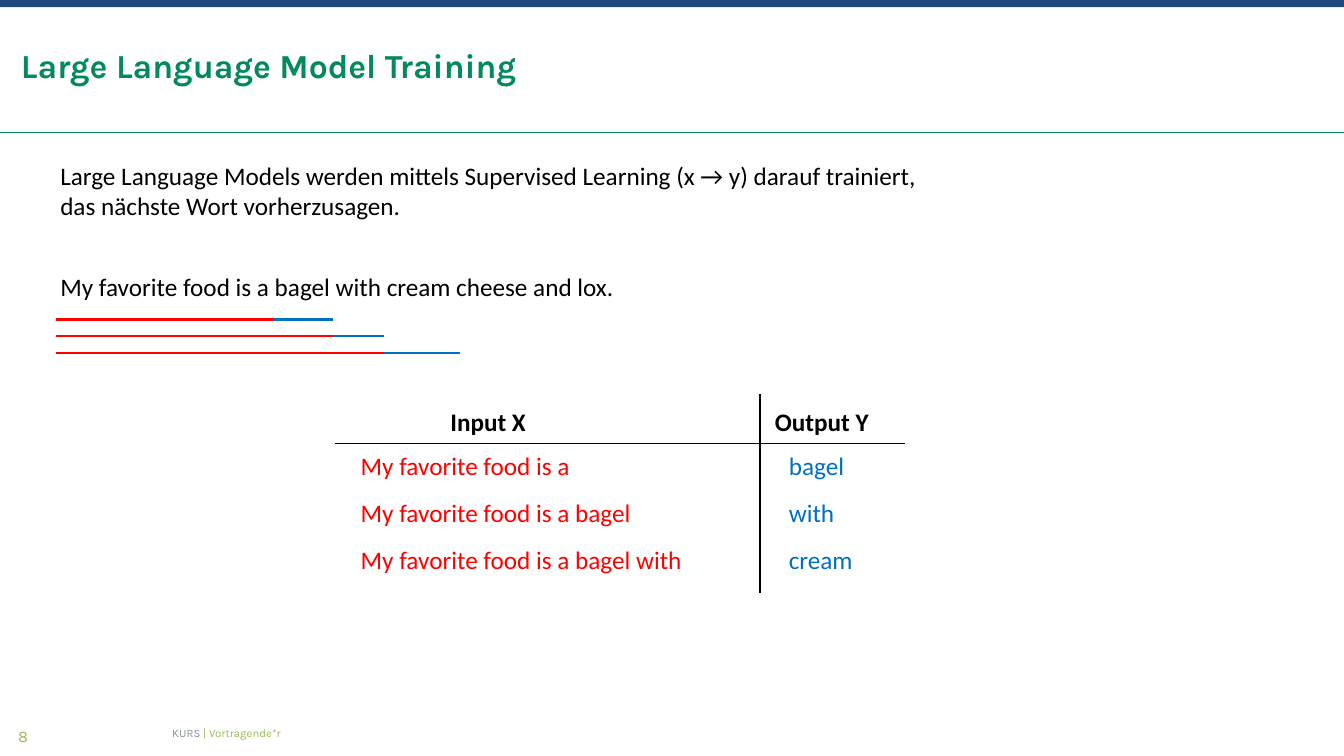
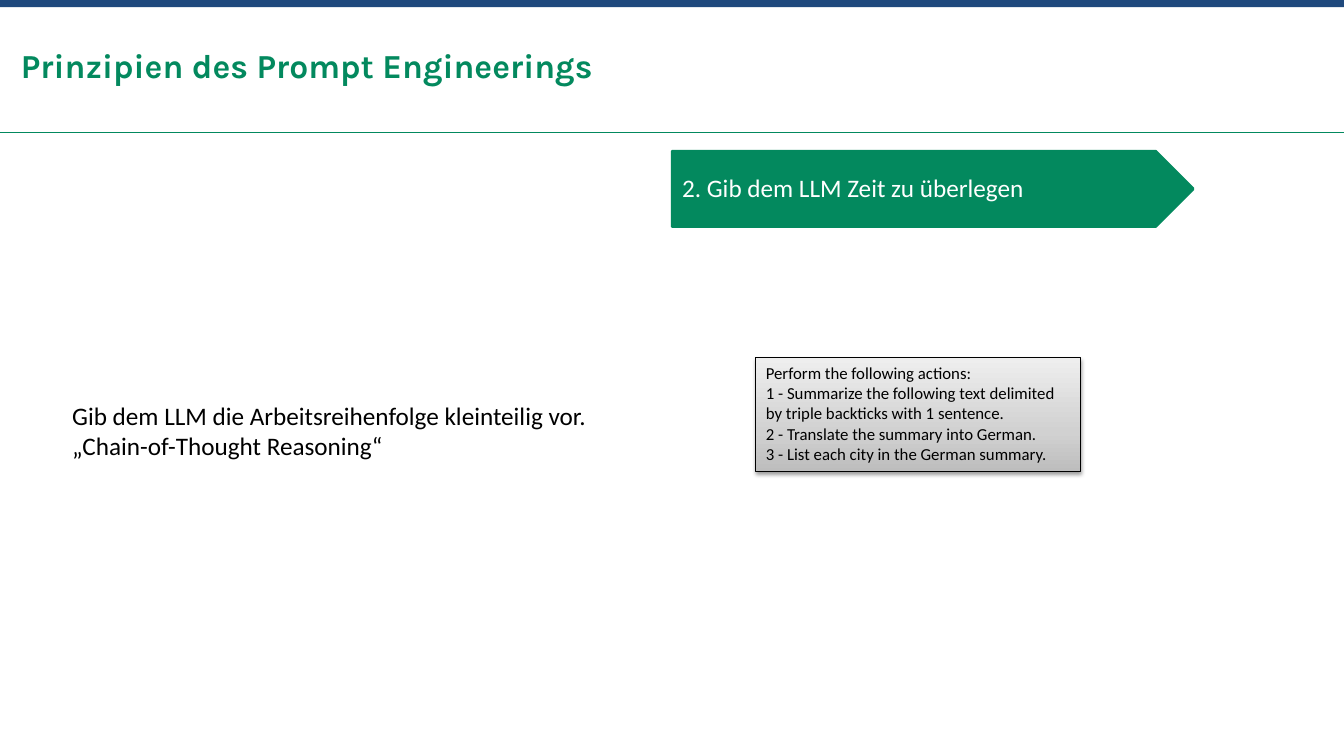
"""Build two slides on language model training and prompt engineering."""

from dataclasses import dataclass

from lxml import etree
from pptx import Presentation
from pptx.dml.color import RGBColor
from pptx.enum.shapes import MSO_CONNECTOR, MSO_SHAPE
from pptx.enum.text import MSO_ANCHOR, PP_ALIGN
from pptx.oxml.ns import qn
from pptx.presentation import Presentation as Deck
from pptx.shapes.autoshape import Shape
from pptx.slide import Slide
from pptx.util import Cm, Pt

GREEN = RGBColor(0x03, 0x89, 0x5E)
NAVY = RGBColor(0x1F, 0x49, 0x7D)
LIME = RGBColor(0x9B, 0xBB, 0x59)
GREY = RGBColor(0x88, 0x91, 0x94)
RED = RGBColor(0xFF, 0x00, 0x00)
BLUE = RGBColor(0x00, 0x70, 0xC0)
BLACK = RGBColor(0x00, 0x00, 0x00)
WHITE = RGBColor(0xFF, 0xFF, 0xFF)
CARD_STOPS = (
    (0, RGBColor(0xBD, 0xBD, 0xBD)),
    (35, RGBColor(0xD1, 0xD1, 0xD1)),
    (100, RGBColor(0xEE, 0xEE, 0xEE)),
)

TOP = MSO_ANCHOR.TOP
MIDDLE = MSO_ANCHOR.MIDDLE
BOTTOM = MSO_ANCHOR.BOTTOM
LEFT = PP_ALIGN.LEFT
STRAIGHT = MSO_CONNECTOR.STRAIGHT
RECTANGLE = MSO_SHAPE.RECTANGLE
PENTAGON = MSO_SHAPE.PENTAGON

HEADING_FONT = "Karla"
BODY_FONT = "Calibri"
SLIDE_WIDTH = 33.87
SLIDE_HEIGHT = 19.05


@dataclass(frozen=True)
class Box:
    """Place and size in centimetres."""

    left: float
    top: float
    width: float
    height: float


@dataclass(frozen=True)
class TextRun:
    """Wording with its character style."""

    text: str
    color: RGBColor = BLACK
    size: float = 18
    font: str = BODY_FONT
    bold: bool = False


@dataclass(frozen=True)
class TrainingStep:
    """Known words, the word to predict, and where both are underlined."""

    known: str
    known_width: float
    known_end: float
    predicted: str
    predicted_width: float
    predicted_end: float


STEPS = (
    TrainingStep("My favorite food is a", 5.84, 6.88, "bagel", 1.93, 8.38),
    TrainingStep("My favorite food is a bagel", 7.39, 8.38, "with", 1.68, 9.68),
    TrainingStep("My favorite food is a bagel with", 8.71, 9.68, "cream", 2.13, 11.58),
)


def write(shape: Shape, paragraphs: list[list[TextRun]]) -> None:
    """Fill a shape with left-aligned paragraphs, run by run."""
    frame = shape.text_frame
    for index, runs in enumerate(paragraphs):
        paragraph = frame.add_paragraph() if index else frame.paragraphs[0]
        paragraph.alignment = LEFT
        for item in runs:
            run = paragraph.add_run()
            run.text = item.text
            run.font.name = item.font
            run.font.size = Pt(item.size)
            run.font.bold = item.bold
            run.font.color.rgb = item.color


def add_text(
    slide: Slide,
    box: Box,
    paragraphs: list[list[TextRun]],
    anchor: MSO_ANCHOR = TOP,
    inset: bool = True,
    wrap: bool = True,
) -> None:
    """Add a text box."""
    shape = slide.shapes.add_textbox(
        Cm(box.left), Cm(box.top), Cm(box.width), Cm(box.height)
    )
    frame = shape.text_frame
    frame.word_wrap = wrap
    frame.vertical_anchor = anchor
    if not inset:
        frame.margin_left = frame.margin_right = 0
        frame.margin_top = frame.margin_bottom = 0
    write(shape, paragraphs)


def add_block(slide: Slide, kind: MSO_SHAPE, box: Box, color: RGBColor) -> Shape:
    """Add a flat shape with fill and outline of one colour."""
    shape = slide.shapes.add_shape(
        kind, Cm(box.left), Cm(box.top), Cm(box.width), Cm(box.height)
    )
    shape.shadow.inherit = False
    shape.fill.solid()
    shape.fill.fore_color.rgb = color
    shape.line.color.rgb = color
    shape.text_frame.word_wrap = True
    return shape


def add_line(
    slide: Slide,
    start: tuple[float, float],
    end: tuple[float, float],
    color: RGBColor,
    width: float,
) -> None:
    """Add a straight line without a shadow."""
    line = slide.shapes.add_connector(
        STRAIGHT, Cm(start[0]), Cm(start[1]), Cm(end[0]), Cm(end[1])
    )
    line.line.color.rgb = color
    line.line.width = Pt(width)
    etree.SubElement(line._element.spPr, qn("a:effectLst"))


def shade_card(card: Shape) -> None:
    """Give a card its upward gradient and its soft shadow."""
    card.fill.gradient()
    card.fill.gradient_angle = 90
    properties = card._element.spPr
    stops = properties.find(f".//{qn('a:gsLst')}")
    stops.clear()
    for position, color in CARD_STOPS:
        stop = etree.SubElement(stops, qn("a:gs"), pos=str(position * 1000))
        etree.SubElement(stop, qn("a:srgbClr"), val=str(color))
    shadow = etree.SubElement(
        properties.find(qn("a:effectLst")),
        qn("a:outerShdw"),
        blurRad=str(Pt(3.1)),
        dist=str(Pt(1.6)),
        dir="5400000",
        rotWithShape="0",
    )
    black = etree.SubElement(shadow, qn("a:srgbClr"), val=str(BLACK))
    etree.SubElement(black, qn("a:alpha"), val="38000")


def add_base_slide(presentation: Deck, title: str) -> Slide:
    """Add a slide with the shared band, rule and title."""
    slide = presentation.slides.add_slide(presentation.slide_layouts[6])
    add_line(slide, (0, 3.33), (SLIDE_WIDTH, 3.33), GREEN, 0.72)
    band = add_block(slide, RECTANGLE, Box(0, 0, SLIDE_WIDTH, 0.18), NAVY)
    band.line.fill.background()
    heading = TextRun(title, GREEN, 24, HEADING_FONT, True)
    add_text(slide, Box(0.53, 1.12, 32.79, 1.02), [[heading]], BOTTOM, inset=False)
    return slide


def add_footer(slide: Slide, number: str) -> None:
    """Add the page number and the speaker line."""
    page = TextRun(number, LIME, 11.5, HEADING_FONT)
    add_text(slide, Box(0.46, 18.31, 16.48, 0.48), [[page]], inset=False)
    speaker = [
        TextRun("KURS ", GREY, 8.1, HEADING_FONT),
        TextRun("| Vortragende*r", LIME, 8.1, HEADING_FONT),
    ]
    add_text(slide, Box(4.34, 18.29, 25.17, 0.38), [speaker], MIDDLE, inset=False)


def add_training_slide(presentation: Deck) -> None:
    """Show how one sentence yields several training pairs."""
    slide = add_base_slide(presentation, "Large Language Model Training")
    add_footer(slide, "8")
    introduction = [
        [TextRun("Large Language Models werden mittels Supervised Learning (x → y) darauf trainiert,")],
        [TextRun("das nächste Wort vorherzusagen.")],
    ]
    add_text(slide, Box(1.52, 4.04, 30.81, 1.55), introduction, inset=False)
    sentence = TextRun("My favorite food is a bagel with cream cheese and lox.")
    add_text(slide, Box(1.27, 6.71, 16.94, 1.02), [[sentence]])

    for left, width, label in ((11.1, 2.44, "Input X"), (19.28, 2.9, "Output Y")):
        header = TextRun(label, bold=True)
        add_text(slide, Box(left, 10.11, width, 1.02), [[header]], wrap=False)
    add_line(slide, (8.43, 11.18), (22.81, 11.18), BLACK, 1)
    add_line(slide, (19.15, 9.93), (19.15, 14.94), BLACK, 1)

    for index, step in enumerate(STEPS):
        top = 11.23 + index * 1.18
        cells = (
            (8.84, step.known_width, step.known, RED),
            (19.63, step.predicted_width, step.predicted, BLUE),
        )
        for left, width, text, color in cells:
            add_text(slide, Box(left, top, width, 1.02), [[TextRun(text, color)]], wrap=False)
        level = 8.05 + index * 0.42
        add_line(slide, (1.4, level), (step.known_end, level), RED, 1.5)
        add_line(slide, (step.known_end, level), (step.predicted_end, level), BLUE, 1.5)


def add_prompt_slide(presentation: Deck) -> None:
    """Show the principle of giving the model time to think."""
    slide = add_base_slide(presentation, "Prinzipien des Prompt Engineerings")
    principle = add_block(slide, PENTAGON, Box(16.94, 3.81, 13.13, 1.9), GREEN)
    principle.line.width = Pt(2)
    principle.text_frame.vertical_anchor = MIDDLE
    write(principle, [[TextRun("2. Gib dem LLM Zeit zu überlegen", WHITE)]])
    principle.text_frame.paragraphs[0].line_spacing = 0.9

    advice = [
        [TextRun("Gib dem LLM die Arbeitsreihenfolge kleinteilig vor.")],
        [TextRun("„Chain-of-Thought Reasoning“")],
    ]
    add_text(slide, Box(1.57, 9.96, 13.61, 1.8), advice, wrap=False)

    card = add_block(slide, RECTANGLE, Box(19.05, 9.02, 8.19, 2.87), WHITE)
    card.line.color.rgb = BLACK
    card.line.width = Pt(0.75)
    shade_card(card)
    card.text_frame.vertical_anchor = TOP
    prompt = (
        "Perform the following actions:",
        "1 - Summarize the following text delimited by triple backticks with 1 sentence.",
        "2 - Translate the summary into German.",
        "3 - List each city in the German summary.",
    )
    write(card, [[TextRun(text, size=12)] for text in prompt])


def main() -> None:
    """Build and save the presentation."""
    presentation = Presentation()
    presentation.slide_width = Cm(SLIDE_WIDTH)
    presentation.slide_height = Cm(SLIDE_HEIGHT)
    add_training_slide(presentation)
    add_prompt_slide(presentation)
    presentation.save("out.pptx")


if __name__ == "__main__":
    main()
